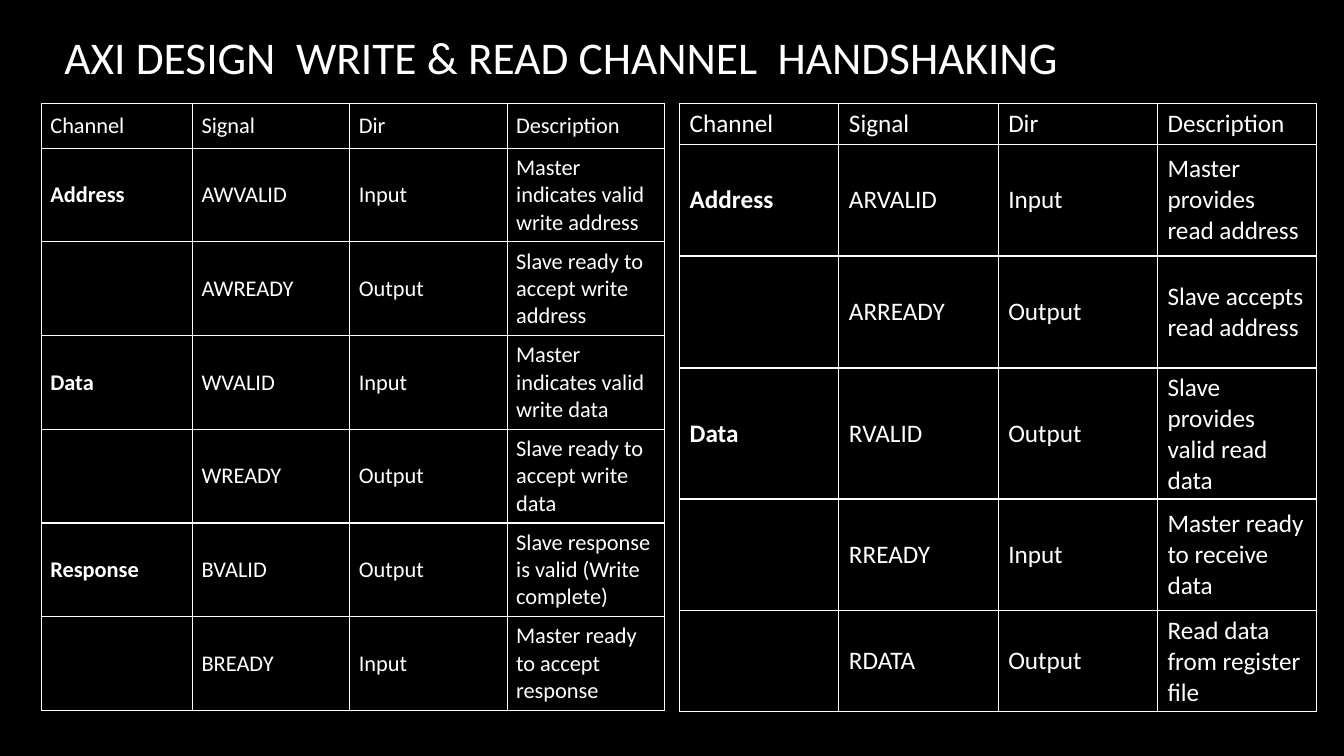
from lxml import etree
from pptx import Presentation
from pptx.dml.color import RGBColor
from pptx.enum.text import MSO_ANCHOR
from pptx.oxml.ns import qn
from pptx.util import Inches, Pt

MIDDLE = MSO_ANCHOR.MIDDLE
BLACK = RGBColor(0x00, 0x00, 0x00)
WHITE = RGBColor(0xFF, 0xFF, 0xFF)
FONT = "Calibri"

HEADER = ("Channel", "Signal", "Dir", "Description")
WRITE_SIGNALS = [
    HEADER,
    ("Address", "AWVALID", "Input", "Master indicates valid write address"),
    ("", "AWREADY", "Output", "Slave ready to accept write address"),
    ("Data", "WVALID", "Input", "Master indicates valid write data"),
    ("", "WREADY", "Output", "Slave ready to accept write data"),
    ("Response", "BVALID", "Output", "Slave response is valid (Write complete)"),
    ("", "BREADY", "Input", "Master ready to accept response"),
]
READ_SIGNALS = [
    HEADER,
    ("Address", "ARVALID", "Input", "Master provides read address"),
    ("", "ARREADY", "Output", "Slave accepts read address"),
    ("Data", "RVALID", "Output", "Slave provides valid read data"),
    ("", "RREADY", "Input", "Master ready to receive data"),
    ("", "RDATA", "Output", "Read data from register file"),
]


def style_text(paragraph, size, bold=False):
    font = paragraph.font
    font.name = FONT
    font.size = Pt(size)
    font.bold = bold
    font.color.rgb = WHITE


def add_title(slide, title):
    box = slide.shapes.add_textbox(Inches(0.54), Inches(0.34), Inches(11.32), Inches(0.43))
    frame = box.text_frame
    frame.word_wrap = True
    frame.vertical_anchor = MIDDLE
    frame.text = title
    style_text(frame.paragraphs[0], 32.4)


def add_borders(cell):
    properties = cell._tc.get_or_add_tcPr()
    for side in ("a:lnL", "a:lnR", "a:lnT", "a:lnB"):
        line = etree.SubElement(properties, qn(side), w=str(Pt(1)))
        fill = etree.SubElement(line, qn("a:solidFill"))
        etree.SubElement(fill, qn("a:srgbClr"), val=str(WHITE))


def fill_cell(cell, text, size, bold, side_margin, end_margin):
    cell.text = text
    cell.vertical_anchor = MIDDLE
    cell.margin_left = cell.margin_right = Inches(side_margin)
    cell.margin_top = cell.margin_bottom = Inches(end_margin)
    style_text(cell.text_frame.paragraphs[0], size, bold)
    add_borders(cell)
    cell.fill.background()


def add_signal_table(slide, signals, left, widths, heights, size, side_margin, end_margin):
    table = slide.shapes.add_table(
        len(signals), len(HEADER), Inches(left), Inches(1.03),
        Inches(sum(widths)), Inches(sum(heights)),
    ).table
    table.first_row = False
    table.horz_banding = False
    for column, width in zip(table.columns, widths):
        column.width = Inches(width)
    for row, height in zip(table.rows, heights):
        row.height = Inches(height)
    for r, signal in enumerate(signals):
        for c, text in enumerate(signal):
            is_channel_name = r > 0 and c == 0
            fill_cell(table.cell(r, c), text, size, is_channel_name, side_margin, end_margin)


def main():
    presentation = Presentation()
    presentation.slide_width = Inches(13.33)
    presentation.slide_height = Inches(7.5)
    slide = presentation.slides.add_slide(presentation.slide_layouts[6])
    slide.background.fill.solid()
    slide.background.fill.fore_color.rgb = BLACK

    add_title(slide, "AXI DESIGN  WRITE & READ CHANNEL  HANDSHAKING")
    add_signal_table(slide, WRITE_SIGNALS, 0.41, [1.5] + [1.56] * 3,
                     [0.44] + [0.93] * 6, 16, 0.09, 0.04)
    add_signal_table(slide, READ_SIGNALS, 6.74, [1.58] * 4,
                     [0.4, 1.11, 1.11, 1.3, 1.11, 1], 18, 0.1, 0.05)
    presentation.save("out.pptx")


if __name__ == "__main__":
    main()
